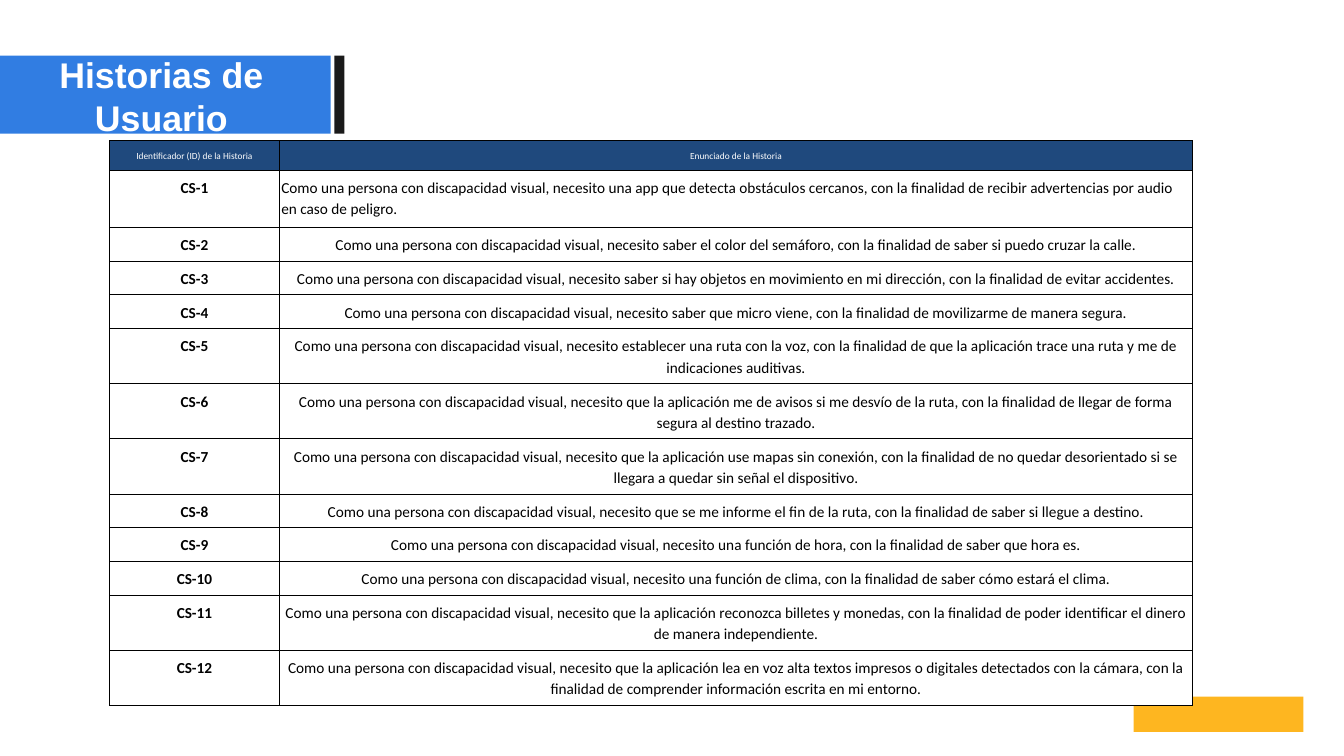
"""Build the user stories slide with its banner and story table."""
from lxml.etree import SubElement
from pptx import Presentation
from pptx.dml.color import RGBColor
from pptx.enum.shapes import MSO_SHAPE
from pptx.enum.text import MSO_ANCHOR, MSO_AUTO_SIZE, PP_ALIGN
from pptx.oxml.ns import qn
from pptx.util import Pt

TITLE = "Historias de Usuario"
HEADINGS = ("Identificador (ID) de la Historia", "Enunciado de la Historia")
OPENING = "Como una persona con discapacidad visual, necesito "
STORIES = [
    "una app que detecta obstáculos cercanos, con la finalidad de recibir advertencias por audio en caso de peligro.",
    "saber el color del semáforo, con la finalidad de saber si puedo cruzar la calle.",
    "saber si hay objetos en movimiento en mi dirección, con la finalidad de evitar accidentes.",
    "saber que micro viene, con la finalidad de movilizarme de manera segura.",
    "establecer una ruta con la voz, con la finalidad de que la aplicación trace una ruta y me de indicaciones auditivas.",
    "que la aplicación me de avisos si me desvío de la ruta, con la finalidad de llegar de forma segura al destino trazado.",
    "que la aplicación use mapas sin conexión, con la finalidad de no quedar desorientado si se llegara a quedar sin señal el dispositivo.",
    "que se me informe el fin de la ruta, con la finalidad de saber si llegue a destino.",
    "una función de hora, con la finalidad de saber que hora es.",
    "una función de clima, con la finalidad de saber cómo estará el clima.",
    "que la aplicación reconozca billetes y monedas, con la finalidad de poder identificar el dinero de manera independiente.",
    "que la aplicación lea en voz alta textos impresos o digitales detectados con la cámara, con la finalidad de comprender información escrita en mi entorno.",
]
PANELS = [
    (0, 65.5, 389.5, 92, "317DE2"),
    (393.8, 65.5, 12, 92, "1A1A1A"),
    (1335.6, 820.8, 200, 41.5, "FEB620"),
]
COLUMN_WIDTHS = (200.2, 1075.7)
ROW_HEIGHT, FIRST_STORY_HEIGHT, LAST_STORY_HEIGHT = 34.6, 67.7, 48.2


def color(hex_text):
    return RGBColor.from_string(hex_text)


def add_panel(slide, left, top, width, height, fill):
    shape = slide.shapes.add_shape(MSO_SHAPE.RECTANGLE, Pt(left), Pt(top), Pt(width), Pt(height))
    shape.shadow.inherit = False
    shape.fill.solid()
    shape.fill.fore_color.rgb = color(fill)
    shape.line.fill.background()


def format_font(font, name, size, hex_text, bold):
    font.name, font.size, font.bold = name, Pt(size), bold
    font.color.rgb = color(hex_text)


def add_borders(cell):
    properties = cell._tc.get_or_add_tcPr()
    for side in ("a:lnL", "a:lnR", "a:lnT", "a:lnB"):
        line = SubElement(properties, qn(side), w=str(Pt(0.75)))
        fill = SubElement(line, qn("a:solidFill"))
        SubElement(fill, qn("a:srgbClr"), val="000000")


def fill_cell(cell, text, is_heading, bold, alignment):
    add_borders(cell)
    cell.fill.solid()
    cell.fill.fore_color.rgb = color("1F497D" if is_heading else "FFFFFF")
    cell.margin_left = cell.margin_right = Pt(2.2)
    cell.margin_top = cell.margin_bottom = Pt(7.2)
    cell.vertical_anchor = MSO_ANCHOR.MIDDLE if is_heading else MSO_ANCHOR.TOP
    cell.text_frame.text = text
    paragraph = cell.text_frame.paragraphs[0]
    paragraph.alignment = alignment
    paragraph.line_spacing = 1.15
    size, hex_text = (11, "FFFFFF") if is_heading else (18, "000000")
    format_font(paragraph.runs[0].font, "Calibri", size, hex_text, bold)


def add_story_table(slide):
    rows = [HEADINGS] + [(f"CS-{number}", OPENING + story) for number, story in enumerate(STORIES, 1)]
    heights = [ROW_HEIGHT] * len(rows)
    heights[1], heights[-1] = FIRST_STORY_HEIGHT, LAST_STORY_HEIGHT
    table = slide.shapes.add_table(
        len(rows), len(HEADINGS), Pt(129), Pt(165.6), Pt(sum(COLUMN_WIDTHS)), Pt(sum(heights))
    ).table
    table.first_row = table.horz_banding = False
    for column, width in zip(table.columns, COLUMN_WIDTHS):
        column.width = Pt(width)
    for row_index, texts in enumerate(rows):
        table.rows[row_index].height = Pt(heights[row_index])
        for column_index, text in enumerate(texts):
            is_heading = row_index == 0
            is_first_story = (row_index, column_index) == (1, 1)
            alignment = PP_ALIGN.LEFT if is_first_story else PP_ALIGN.CENTER
            bold = column_index == 0 and not is_heading
            fill_cell(table.cell(row_index, column_index), text, is_heading, bold, alignment)


def place_title(slide):
    title = slide.shapes.title
    title.left, title.top, title.width, title.height = Pt(-1.4), Pt(62), Pt(383), Pt(152.6)
    frame = title.text_frame
    frame.text = TITLE
    frame.word_wrap = True
    frame.auto_size = MSO_AUTO_SIZE.NONE
    frame.vertical_anchor = MSO_ANCHOR.TOP
    frame.margin_left = frame.margin_top = frame.margin_right = frame.margin_bottom = 0
    paragraph = frame.paragraphs[0]
    paragraph.alignment = PP_ALIGN.CENTER
    format_font(paragraph.runs[0].font, "Arial", 42, "FFFFFF", True)
    title._element.getparent().append(title._element)


def main():
    presentation = Presentation()
    presentation.slide_width, presentation.slide_height = Pt(1583.3), Pt(890.6)
    slide = presentation.slides.add_slide(presentation.slide_layouts[5])
    for panel in PANELS:
        add_panel(slide, *panel)
    place_title(slide)
    add_story_table(slide)
    presentation.save("out.pptx")


if __name__ == "__main__":
    main()
